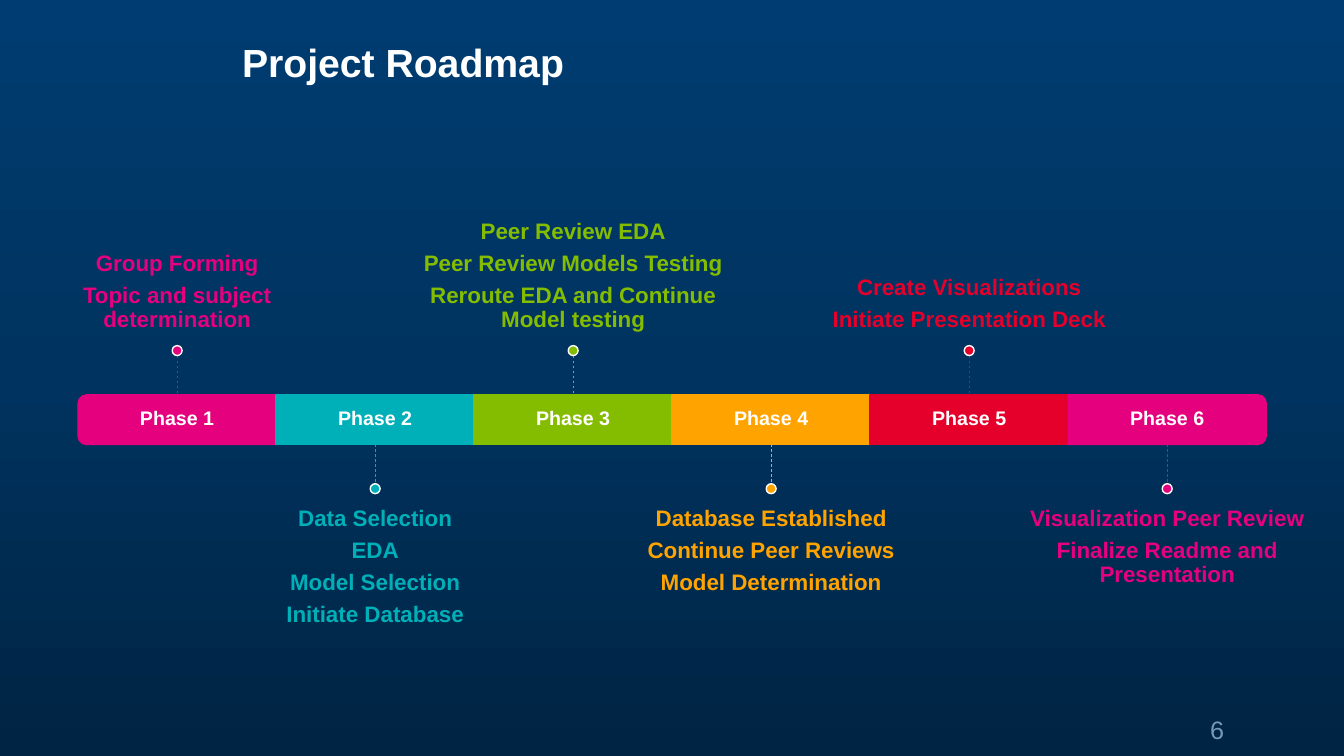
from copy import deepcopy
from dataclasses import dataclass

from lxml import etree
from pptx import Presentation
from pptx.dml.color import RGBColor
from pptx.enum import dml, shapes, text
from pptx.oxml.ns import qn
from pptx.util import Cm, Pt

COLORS = {
    "white": "FFFFFF",
    "page_number": "739AB6",
    "navy_dark": "002443",
    "navy_middle": "00335F",
    "navy_light": "003C71",
    "magenta": "E5007E",
    "teal": "00B0B9",
    "green": "84BD00",
    "orange": "FFA300",
    "red": "E4002B",
}
FONT = "Arial"

BAR_LEFT, BAR_TOP = 1.97, 9.95
PHASE_WIDTH, PHASE_HEIGHT = 4.99, 1.25
STEM_LENGTH, DOT_SIZE = 0.99, 0.25
NOTE_WIDTH, NOTE_HEIGHT, NOTE_GAP = 8.31, 4.34, 0.33


@dataclass(frozen=True)
class Phase:
    color: str
    tasks: tuple[str, ...]


PHASES = (
    Phase("magenta", ("Group Forming", "Topic and subject determination")),
    Phase("teal", ("Data Selection", "EDA", "Model Selection", "Initiate Database")),
    Phase("green", ("Peer Review EDA", "Peer Review Models Testing",
                    "Reroute EDA and Continue Model testing")),
    Phase("orange", ("Database Established", "Continue Peer Reviews",
                     "Model Determination")),
    Phase("red", ("Create Visualizations", "Initiate Presentation Deck")),
    Phase("magenta", ("Visualization Peer Review", "Finalize Readme and Presentation")),
)


def rgb(name: str) -> RGBColor:
    return RGBColor.from_string(COLORS[name])


def paint_background(slide) -> None:
    """Fill the background with a three-stop gradient, dark at the bottom."""
    fill = slide.background.fill
    fill.gradient()
    fill.gradient_angle = 90
    stops = next(slide.element.iter(qn("a:gsLst")))
    middle = deepcopy(stops[0])
    middle.set("pos", "50000")
    stops.insert(1, middle)
    for stop, name in zip(fill.gradient_stops,
                          ("navy_dark", "navy_middle", "navy_light")):
        stop.color.rgb = rgb(name)


def add_text(slide, box: tuple[float, ...], lines: tuple[str, ...], size: float,
             color: str, bold: bool = True,
             anchor=text.MSO_ANCHOR.TOP, insets: tuple[float, ...] = (0, 0, 0, 0),
             centered: bool = False) -> None:
    """Add a text box; insets run left, top, right, bottom."""
    frame = slide.shapes.add_textbox(*map(Cm, box)).text_frame
    frame.word_wrap = True
    frame.vertical_anchor = anchor
    frame.margin_left, frame.margin_top, frame.margin_right, frame.margin_bottom = map(
        Cm, insets)
    frame.text = "\n".join(lines)
    for paragraph in frame.paragraphs:
        if centered:
            paragraph.alignment = text.PP_ALIGN.CENTER
            paragraph.line_spacing = 0.9
            paragraph.space_after = Pt(size * 0.35)
        for run in paragraph.runs:
            run.font.name = FONT
            run.font.size = Pt(size)
            run.font.bold = bold
            run.font.color.rgb = rgb(color)


def add_filled_shape(slide, kind, box: tuple[float, ...], fill: str, line: str):
    shape = slide.shapes.add_shape(kind, *map(Cm, box))
    shape.shadow.inherit = False
    shape.fill.solid()
    shape.fill.fore_color.rgb = rgb(fill)
    shape.line.color.rgb = rgb(line)
    shape.line.width = Pt(1)
    return shape


def add_bar(slide, index: int, left: float, color: str) -> None:
    """Add one segment of the bar; the first and last have rounded outer ends."""
    rotation = {0: 270, len(PHASES) - 1: 90}.get(index)
    if rotation is None:
        add_filled_shape(slide, shapes.MSO_SHAPE.RECTANGLE,
                         (left, BAR_TOP, PHASE_WIDTH, PHASE_HEIGHT), color, color)
        return
    offset = (PHASE_WIDTH - PHASE_HEIGHT) / 2
    end = add_filled_shape(slide, shapes.MSO_SHAPE.ROUND_2_SAME_RECTANGLE,
                           (left + offset, BAR_TOP - offset, PHASE_HEIGHT, PHASE_WIDTH),
                           color, color)
    end.rotation = rotation


def add_stem(slide, x: float, start: float, end: float, color: str) -> None:
    stem = slide.shapes.add_connector(shapes.MSO_CONNECTOR.STRAIGHT,
                                      Cm(x), Cm(start), Cm(x), Cm(end))
    stem.line.color.rgb = rgb(color)
    stem.line.width = Pt(0.5)
    stem.line.dash_style = dml.MSO_LINE.DASH
    etree.SubElement(stem.element.spPr, qn("a:effectLst"))


def add_phase(slide, index: int, phase: Phase) -> None:
    """Add a bar segment with its label, stem, dot and notes, alternately up and down."""
    left = BAR_LEFT + index * PHASE_WIDTH
    center = left + PHASE_WIDTH / 2
    bar_bottom = BAR_TOP + PHASE_HEIGHT
    if index % 2 == 0:
        stem_start, stem_end = BAR_TOP - STEM_LENGTH, BAR_TOP
        dot_top = stem_start - DOT_SIZE
        note_top = dot_top - NOTE_HEIGHT
        anchor, insets = text.MSO_ANCHOR.BOTTOM, (0, 0, 0, NOTE_GAP)
    else:
        stem_start, stem_end = bar_bottom, bar_bottom + STEM_LENGTH
        dot_top = stem_end
        note_top = dot_top + DOT_SIZE
        anchor, insets = text.MSO_ANCHOR.TOP, (0, NOTE_GAP, 0, 0)

    add_bar(slide, index, left, phase.color)
    add_text(slide, (left, BAR_TOP, PHASE_WIDTH, PHASE_HEIGHT), (f"Phase {index + 1}",),
             14, "white", anchor=text.MSO_ANCHOR.MIDDLE, insets=(0.3,) * 4,
             centered=True)
    add_text(slide, (center - NOTE_WIDTH / 2, note_top, NOTE_WIDTH, NOTE_HEIGHT),
             phase.tasks, 16, phase.color, anchor=anchor, insets=insets, centered=True)
    add_stem(slide, center, stem_start, stem_end, phase.color)
    add_filled_shape(slide, shapes.MSO_SHAPE.OVAL,
                     (center - DOT_SIZE / 2, dot_top, DOT_SIZE, DOT_SIZE),
                     phase.color, "white")


def main() -> None:
    presentation = Presentation()
    presentation.slide_width, presentation.slide_height = Cm(33.87), Cm(19.05)
    slide = presentation.slides.add_slide(presentation.slide_layouts[6])
    paint_background(slide)
    add_text(slide, (6.1, 0.79, 25.63, 1.35), ("Project Roadmap",), 28, "white",
             anchor=text.MSO_ANCHOR.BOTTOM)
    add_text(slide, (30.25, 17.88, 2.34, 1.17), ("6",), 18, "page_number", bold=False,
             insets=(0.25, 0.13, 0.25, 0.13))
    for index, phase in enumerate(PHASES):
        add_phase(slide, index, phase)
    presentation.save("out.pptx")


if __name__ == "__main__":
    main()
